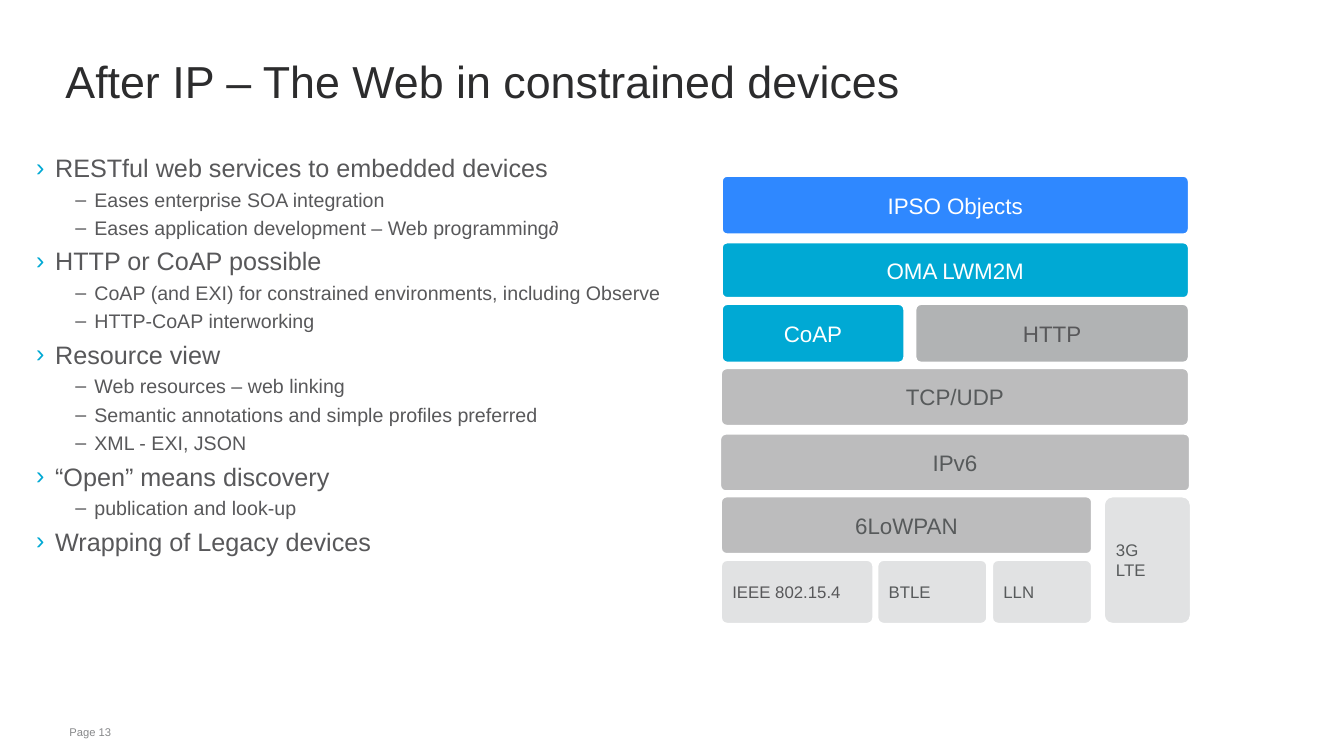
from lxml.etree import SubElement
from pptx import Presentation
from pptx.dml.color import RGBColor
from pptx.enum.shapes import MSO_SHAPE
from pptx.enum.text import MSO_ANCHOR, PP_ALIGN
from pptx.oxml.ns import qn
from pptx.util import Cm, Pt

INK = RGBColor(0x2C, 0x2C, 0x2D)
TEXT = RGBColor(0x58, 0x58, 0x5A)
LABEL = RGBColor(0x57, 0x5A, 0x5B)
FOOTER = RGBColor(0x87, 0x88, 0x8A)
WHITE = RGBColor(0xFF, 0xFF, 0xFF)
CYAN = RGBColor(0x00, 0xA9, 0xD4)
BLUE = RGBColor(0x2F, 0x88, 0xFF)
GREY = RGBColor(0xBC, 0xBC, 0xBD)
HTTP_GREY = RGBColor(0xB1, 0xB3, 0xB4)
PALE = RGBColor(0xE1, 0xE2, 0xE3)

# Level, text
OUTLINE = [
    (0, "RESTful web services to embedded devices"),
    (1, "Eases enterprise SOA integration"),
    (1, "Eases application development – Web programming∂"),
    (0, "HTTP or CoAP possible"),
    (1, "CoAP (and EXI) for constrained environments, including Observe"),
    (1, "HTTP-CoAP interworking"),
    (0, "Resource view"),
    (1, "Web resources – web linking"),
    (1, "Semantic annotations and simple profiles preferred"),
    (1, "XML - EXI, JSON"),
    (0, "“Open” means discovery"),
    (1, "publication and look-up"),
    (0, "Wrapping of Legacy devices"),
]

# Bullet, bullet colour, left margin in cm, text size
LEVELS = [("›", CYAN, 0.48, 18), ("–", TEXT, 1.47, 14)]
HANGING = 0.48

# Text, left, top, width, height in cm, fill, text colour
LINK_LAYERS = [
    ("IEEE 802.15.4", 18.16, 14.10, 3.86, 1.63, PALE, TEXT),
    ("LLN", 24.99, 14.10, 2.54, 1.63, PALE, LABEL),
    ("3G\vLTE", 27.81, 12.50, 2.21, 3.23, PALE, LABEL),
    ("BTLE", 22.10, 14.10, 2.79, 1.63, PALE, LABEL),
]
UPPER_LAYERS = [
    ("IPv6", 18.14, 10.92, 11.86, 1.47, GREY, LABEL),
    ("TCP/UDP", 18.16, 9.27, 11.81, 1.47, GREY, LABEL),
    ("6LoWPAN", 18.16, 12.50, 9.37, 1.47, GREY, LABEL),
    ("CoAP", 18.18, 7.65, 4.62, 1.50, CYAN, WHITE),
    ("OMA LWM2M", 18.18, 6.10, 11.79, 1.42, CYAN, WHITE),
    ("HTTP", 23.06, 7.65, 6.91, 1.50, HTTP_GREY, TEXT),
    ("IPSO Objects", 18.18, 4.42, 11.79, 1.50, BLUE, WHITE),
]


class SlideBuilder:
    font_name = "Arial"

    def __init__(self, slide):
        self.slide = slide

    def style(self, paragraph, size, color):
        for run in paragraph.runs:
            run.font.name = self.font_name
            run.font.size = Pt(size)
            run.font.color.rgb = color

    def text_box(self, left, top, width, height, inset_y=0.0):
        box = self.slide.shapes.add_textbox(Cm(left), Cm(top), Cm(width), Cm(height))
        frame = box.text_frame
        frame.word_wrap = True
        frame.margin_left = frame.margin_right = Cm(0.2)
        frame.margin_top = frame.margin_bottom = Cm(inset_y)
        return frame

    def title(self, text):
        frame = self.text_box(1.45, 0.66, 28.42, 3.02)
        frame.vertical_anchor = MSO_ANCHOR.MIDDLE
        frame.text = text
        frame.paragraphs[0].line_spacing = 0.75
        self.style(frame.paragraphs[0], 32, INK)

    def footer(self, text):
        frame = self.text_box(1.55, 18.14, 27.33, 0.61, inset_y=0.13)
        frame.text = text
        self.style(frame.paragraphs[0], 8, FOOTER)

    def bullet(self, paragraph, character, color, margin):
        properties = paragraph._p.get_or_add_pPr()
        properties.set("marL", str(Cm(margin)))
        properties.set("indent", str(-Cm(HANGING)))
        bullet_color = SubElement(properties, qn("a:buClr"))
        SubElement(bullet_color, qn("a:srgbClr"), val=str(color))
        SubElement(properties, qn("a:buFont"), typeface=self.font_name)
        SubElement(properties, qn("a:buChar"), char=character)

    def outline(self, items):
        frame = self.text_box(0.71, 3.84, 30.94, 13.39)
        frame.text = "\n".join(text for _, text in items)
        for index, (paragraph, (level, _)) in enumerate(zip(frame.paragraphs, items)):
            character, color, margin, size = LEVELS[level]
            paragraph.level = level
            self.bullet(paragraph, character, color, margin)
            if index:
                paragraph.space_before = Pt(size / 4)
            self.style(paragraph, size, TEXT)

    def layer(self, text, left, top, width, height, fill, color, size, alignment):
        shape = self.slide.shapes.add_shape(
            MSO_SHAPE.ROUNDED_RECTANGLE, Cm(left), Cm(top), Cm(width), Cm(height))
        shape.adjustments[0] = 0.1
        shape.shadow.inherit = False
        shape.fill.solid()
        shape.fill.fore_color.rgb = fill
        shape.line.color.rgb = WHITE
        shape.line.width = Pt(2)
        frame = shape.text_frame
        frame.vertical_anchor = MSO_ANCHOR.MIDDLE
        frame.text = text
        paragraph = frame.paragraphs[0]
        paragraph.alignment = alignment
        self.style(paragraph, size, color)


def main():
    presentation = Presentation()
    presentation.slide_width = Cm(33.87)
    presentation.slide_height = Cm(19.05)
    builder = SlideBuilder(presentation.slides.add_slide(presentation.slide_layouts[6]))

    # Text
    builder.footer("Page 13")
    builder.title("After IP – The Web in constrained devices")
    builder.outline(OUTLINE)

    # Protocol stack
    for layer in LINK_LAYERS:
        builder.layer(*layer, size=12, alignment=PP_ALIGN.LEFT)
    for layer in UPPER_LAYERS:
        builder.layer(*layer, size=16, alignment=PP_ALIGN.CENTER)

    presentation.save("out.pptx")


if __name__ == "__main__":
    main()
